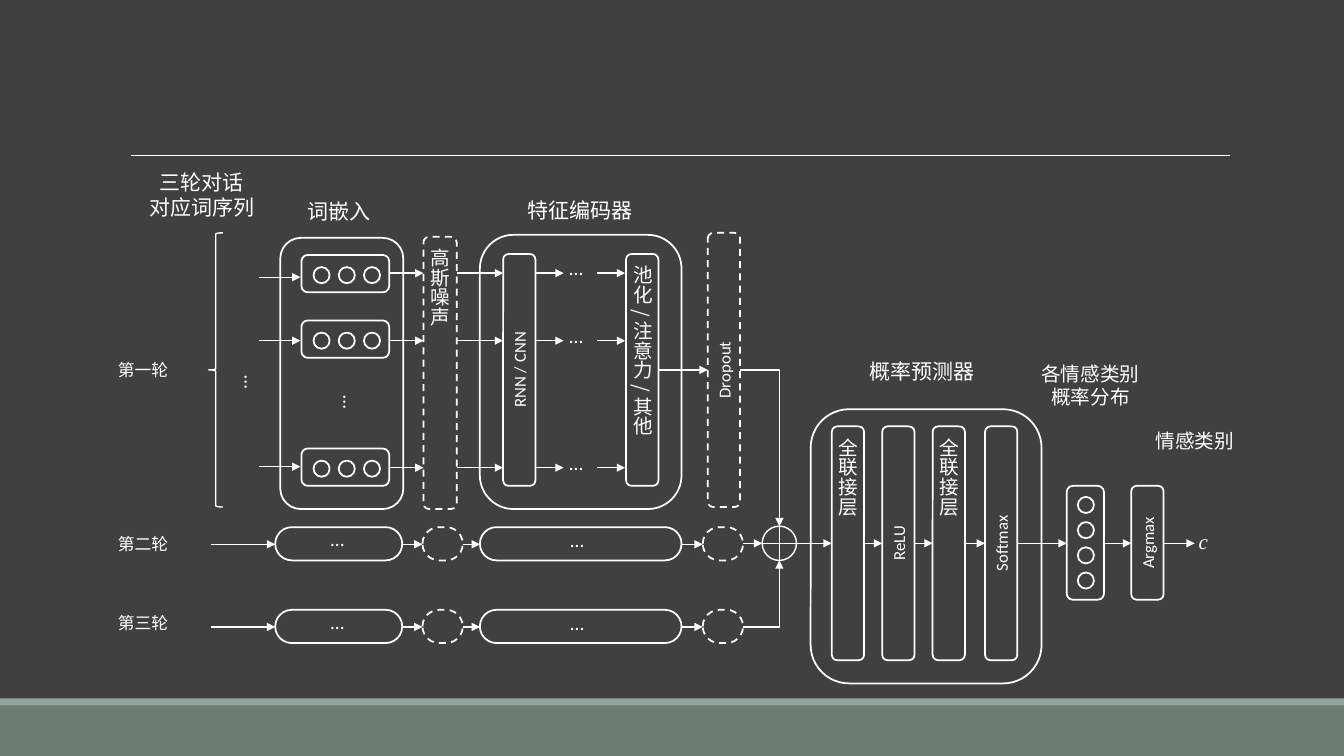
from dataclasses import dataclass

from lxml import etree
from pptx import Presentation
from pptx.dml.color import RGBColor as RGB
from pptx.enum.dml import MSO_LINE
from pptx.enum.shapes import MSO_CONNECTOR as CONN, MSO_SHAPE as SHAPE
from pptx.enum.text import MSO_ANCHOR, MSO_AUTO_SIZE as FIT, PP_ALIGN as ALIGN
from pptx.oxml.ns import qn
from pptx.util import Emu, Pt

PX = 9144


@dataclass(frozen=True)
class Theme:
    """Colours, fonts, type sizes and line widths of the slide."""
    back: RGB = RGB(0x40, 0x40, 0x40)
    ink: RGB = RGB(0xFF, 0xFF, 0xFF)
    bar: RGB = RGB(0x6B, 0x7D, 0x72)
    strip: RGB = RGB(0x93, 0xA2, 0x99)
    cjk: str = "Noto Sans CJK SC"
    latin: str = "Calibri"
    math: str = "Times New Roman"
    head: int = 15
    body: int = 14
    small: int = 12
    outline: float = 1.25
    wire: float = 1
    rule: float = 0.5


T = Theme()


def px(*values):
    """Turn whole px into EMU."""
    return [Emu(v * PX) for v in values]


def fmt(obj, **values):
    """Set each format value on an object."""
    for name, value in values.items():
        setattr(obj, name, value)


def write(tf, text, size, font, align=ALIGN.CENTER, italic=False):
    """Fill a text frame with one paragraph per line."""
    for i, line in enumerate(text.split("\n")):
        p = tf.paragraphs[0] if i == 0 else tf.add_paragraph()
        p.alignment = align
        r = p.add_run()
        r.text = line
        fmt(r.font, size=Pt(size), name=font, italic=italic)
        r.font.color.rgb = T.ink
        etree.SubElement(r.font._element, qn("a:ea")).set("typeface", font)


def label(s, text, x, y, w, h, size=T.body, font=T.cjk, align=ALIGN.CENTER,
          wrap=False, turn=0, italic=False):
    """Add a free text label."""
    sp = s.shapes.add_textbox(*px(x, y, w, h))
    sp.rotation = turn
    fmt(sp.text_frame, word_wrap=wrap, auto_size=FIT.SHAPE_TO_FIT_TEXT)
    write(sp.text_frame, text, size, font, align, italic)


def dots(s, x, y, turn=0):
    """Add an ellipsis mark."""
    label(s, "…", x, y, 36, 36, font=T.latin, align=ALIGN.LEFT, turn=turn)


def band(s, y, h, colour):
    """Add a full-width filled band."""
    sp = s.shapes.add_shape(SHAPE.RECTANGLE, *px(0, y, 1333, h))
    sp.shadow.inherit = False
    sp.fill.solid()
    sp.fill.fore_color.rgb = colour
    sp.line.fill.background()


def box(s, x, y, w, h, kind=SHAPE.ROUNDED_RECTANGLE, width=T.outline, dashed=False):
    """Add an unfilled outlined shape."""
    sp = s.shapes.add_shape(kind, *px(x, y, w, h))
    sp.shadow.inherit = False
    sp.fill.background()
    sp.line.color.rgb = T.ink
    sp.line.width = Pt(width)
    if dashed:
        sp.line.dash_style = MSO_LINE.DASH
    return sp


def layer(s, text, x, y, w, h, upright=False, dashed=False):
    """Add a tall layer box with vertical text."""
    tf = box(s, x, y, w, h, dashed=dashed).text_frame
    tf.vertical_anchor = MSO_ANCHOR.MIDDLE
    tf._txBody.bodyPr.set("vert", "eaVert" if upright else "vert270")
    size, font = (T.body, T.cjk) if upright else (T.small, T.latin)
    write(tf, text, size, font)


def wire(s, x1, y1, x2, y2, arrow=True, bent=False, width=T.wire):
    """Add a straight or one-corner connector."""
    sp = s.shapes.add_connector(CONN.ELBOW if bent else CONN.STRAIGHT, *px(x1, y1, x2, y2))
    sp.line.color.rgb = T.ink
    sp.line.width = Pt(width)
    pr = sp._element.spPr
    if bent:
        pr.find(qn("a:prstGeom")).set("prst", "bentConnector2")
    if arrow:
        etree.SubElement(pr.find(qn("a:ln")), qn("a:tailEnd")).set("type", "triangle")
    etree.SubElement(pr, qn("a:effectLst"))


def vector(s, x, y, count, upright=False):
    """Add a rounded box holding a row or column of units."""
    length = 87 if count == 3 else 113
    box(s, x, y, *((37, length) if upright else (length, 37)))
    for i in range(count):
        dx, dy = (11, 11 + 25 * i) if upright else (12 + 25 * i, 12)
        box(s, x + dx, y + dy, 16, 16, SHAPE.OVAL)


def first_turn(s):
    """Draw the detailed pipeline of the first turn."""
    box(s, 207, 231, 14, 272, SHAPE.LEFT_BRACE, T.wire)
    box(s, 278, 236, 122, 269)
    box(s, 476, 233, 200, 272)
    layer(s, "高斯噪声", 420, 235, 33, 270, upright=True, dashed=True)
    layer(s, "RNN / CNN", 499, 252, 32, 230)
    layer(s, "池化 / 注意力 / 其他", 621, 252, 32, 230, upright=True)
    layer(s, "Dropout", 702, 231, 32, 272, dashed=True)
    for top, entry, y in ((253, 275, 271), (318, 338, 338), (445, 463, 464)):
        vector(s, 299, top, 3)
        wire(s, 257, entry, 298, entry)
        for x1, x2 in ((386, 420), (453, 499), (531, 559), (592, 620)):
            wire(s, x1, y, x2, y)
        dots(s, 555, y - 22)
    dots(s, 231, 363, turn=90)
    dots(s, 329, 383, turn=90)
    wire(s, 653, 367, 702, 367)
    wire(s, 734, 367, 773, 522, bent=True)


def short_turn(s, y):
    """Draw the condensed pipeline of a later turn."""
    mid = y + 17
    end = 209
    for x, w, dashed in ((273, 126, False), (419, 40, True), (476, 200, False), (697, 40, True)):
        wire(s, end, mid, x, mid)
        box(s, x, y, w, 33, dashed=dashed).adjustments[0] = 0.5
        end = x + w
    dots(s, 318, y - 5)
    dots(s, 556, y - 4)


def predictor(s):
    """Draw the merge node, the predictor and the output."""
    mid = 539
    box(s, 756, 522, 34, 34, SHAPE.OVAL, T.wire)
    wire(s, 756, mid, 790, mid, arrow=False)
    wire(s, 773, 522, 773, 556, arrow=False)
    wire(s, 737, mid, 756, mid)
    wire(s, 737, 622, 773, 556, bent=True)
    box(s, 804, 406, 229, 272)
    end = 790
    for text, x, upright in (("全联接层", 825, True), ("ReLU", 875, False),
                             ("全联接层", 925, True), ("Softmax", 977, False)):
        wire(s, end, mid, x, mid)
        layer(s, text, x, 423, 32, 232, upright)
        end = x + 32
    vector(s, 1058, 482, 4, upright=True)
    layer(s, "Argmax", 1122, 482, 32, 113)
    for x1, x2 in ((end, 1058), (1095, 1122), (1154, 1185)):
        wire(s, x1, mid, x2, mid)
    label(s, "c", 1179, 519, 32, 38, T.head, T.math, ALIGN.LEFT, italic=True)


def captions(s):
    """Add the captions and the turn names."""
    label(s, "三轮对话\n对应词序列", 133, 163, 134, 65, T.head)
    label(s, "词嵌入", 295, 192, 89, 38, T.head, align=ALIGN.LEFT)
    label(s, "特征编码器", 481, 191, 189, 38, T.head, wrap=True)
    label(s, "概率预测器", 820, 351, 189, 38, T.head, wrap=True)
    label(s, "各情感类别\n概率分布", 987, 354, 189, 61, wrap=True)
    label(s, "情感类别", 1126, 421, 118, 36, wrap=True)
    for text, y in (("第一轮", 352), ("第二轮", 525), ("第三轮", 603)):
        label(s, text, 107, y, 76, 32, T.small, align=ALIGN.LEFT)


def main():
    """Build and save the slide."""
    prs = Presentation()
    fmt(prs, slide_width=Emu(1333 * PX), slide_height=Emu(750 * PX))
    s = prs.slides.add_slide(prs.slide_layouts[6])
    s.background.fill.solid()
    s.background.fill.fore_color.rgb = T.back
    band(s, 700, 50, T.bar)
    band(s, 693, 7, T.strip)
    wire(s, 130, 154, 1220, 154, arrow=False, width=T.rule)
    first_turn(s)
    for y in (523, 605):
        short_turn(s, y)
    predictor(s)
    captions(s)
    prs.save("out.pptx")


if __name__ == "__main__":
    main()
